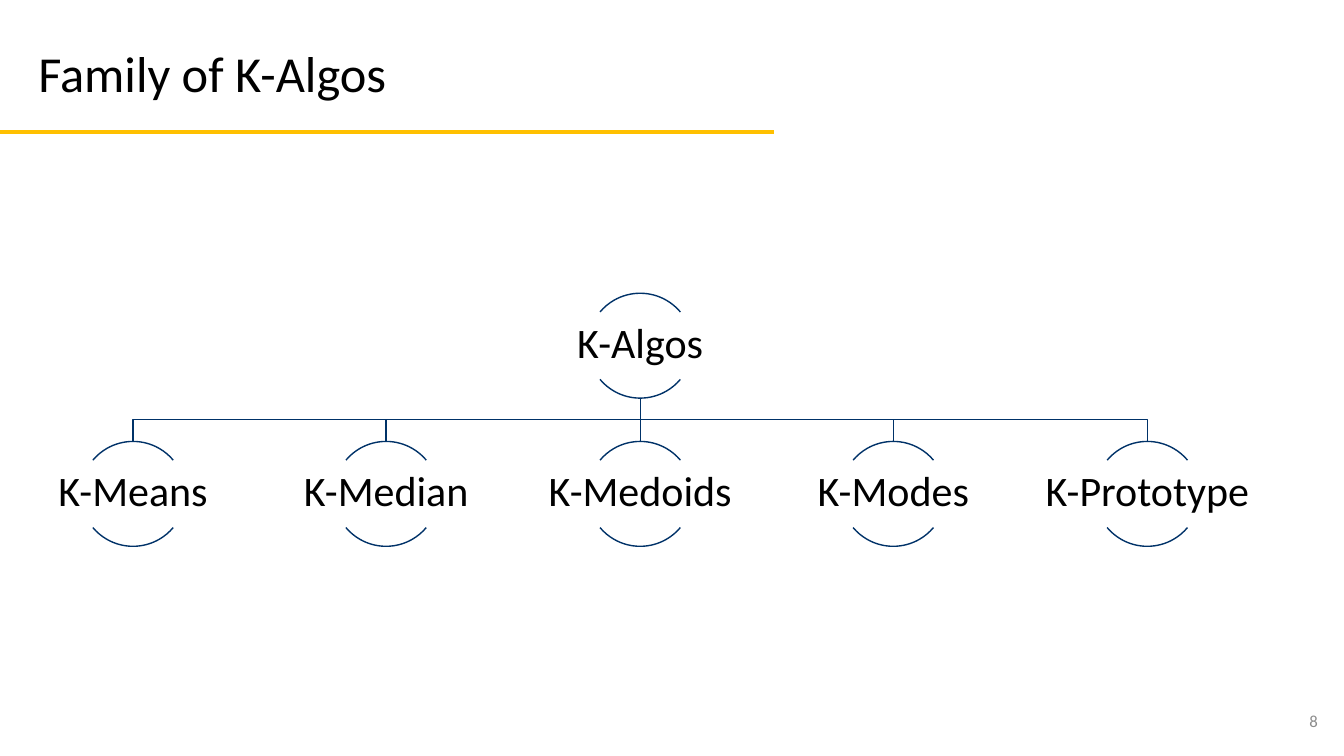
"""Build the slide showing the family of K-algorithms as a tree."""
from dataclasses import dataclass

from lxml import etree
from pptx import Presentation
from pptx.dml.color import RGBColor
from pptx.enum.shapes import MSO_CONNECTOR, MSO_SHAPE
from pptx.enum.text import MSO_ANCHOR, MSO_AUTO_SIZE, PP_ALIGN
from pptx.oxml.ns import qn
from pptx.shapes.autoshape import Shape
from pptx.shapes.connector import Connector
from pptx.slide import Slide
from pptx.util import Pt

PX = 9144
BLACK = RGBColor(0x00, 0x00, 0x00)
GRAY = RGBColor(0x8C, 0x8C, 0x8C)
NAVY = RGBColor(0x00, 0x32, 0x68)
GOLD = RGBColor(0xFF, 0xC0, 0x00)
FONT = "Calibri"
ARC = MSO_SHAPE.ARC
LINE = MSO_CONNECTOR.STRAIGHT
MIDDLE = MSO_ANCHOR.MIDDLE
FIXED = MSO_AUTO_SIZE.NONE
LEFT, CENTER, RIGHT = PP_ALIGN.LEFT, PP_ALIGN.CENTER, PP_ALIGN.RIGHT

SIZE = 104
LABEL_W, LABEL_H = 208, 67
ROOT_Y, BAR_Y, LEAF_Y = 291, 416, 438
ARCS = ((132, 192), (24, 84))
LEAVES = ("K-Means", "K-Median", "K-Medoids", "K-Modes", "K-Prototype")


@dataclass(frozen=True)
class Node:
    """A label between two arcs, placed by its centre and top in px."""

    name: str
    mid: int
    top: int


def write(box: Shape, text: str, *, size: int, color: RGBColor = BLACK,
          align: PP_ALIGN = LEFT, inset: int | None = None,
          spacing: float = 1.0) -> None:
    """Put formatted text into a shape."""
    frame = box.text_frame
    frame.word_wrap = True
    frame.auto_size = FIXED
    frame.vertical_anchor = MIDDLE
    if inset is not None:
        frame.margin_left = frame.margin_right = inset * PX
        frame.margin_top = frame.margin_bottom = inset * PX
    para = frame.paragraphs[0]
    para.alignment = align
    para.line_spacing = spacing
    run = para.add_run()
    run.text = text
    run.font.name = FONT
    run.font.size = Pt(size)
    run.font.color.rgb = color


def add_box(slide: Slide, x: int, y: int, w: int, h: int) -> Shape:
    """Add an empty text box."""
    return slide.shapes.add_textbox(x * PX, y * PX, w * PX, h * PX)


def add_rule(slide: Slide, x1: int, y1: int, x2: int, y2: int,
             color: RGBColor, width: float) -> Connector:
    """Add a straight line without shadow."""
    rule = slide.shapes.add_connector(LINE, x1 * PX, y1 * PX, x2 * PX, y2 * PX)
    rule.line.color.rgb = color
    rule.line.width = Pt(width)
    etree.SubElement(rule.element.spPr, qn("a:effectLst"))
    return rule


def outline(shape: Shape) -> None:
    """Leave only a thin navy outline on a shape."""
    shape.shadow.inherit = False
    shape.fill.background()
    shape.line.color.rgb = NAVY
    shape.line.width = Pt(1)


def add_link(slide: Slide, root: Node, leaf: Node) -> None:
    """Join the root to a leaf through the shared bar."""
    base = root.top + SIZE
    if leaf.mid == root.mid:
        add_rule(slide, root.mid, base, leaf.mid, leaf.top, NAVY, 1)
        return
    path = slide.shapes.build_freeform(root.mid, base, scale=PX)
    path.add_line_segments(
        [(root.mid, BAR_Y), (leaf.mid, BAR_Y), (leaf.mid, leaf.top)],
        close=False)
    outline(path.convert_to_shape())


def add_node(slide: Slide, node: Node) -> None:
    """Draw the arcs and label of a node."""
    for start, end in ARCS:
        arc = slide.shapes.add_shape(
            ARC, (node.mid - SIZE // 2) * PX, node.top * PX,
            SIZE * PX, SIZE * PX)
        arc.adjustments[0] = start
        arc.adjustments[1] = end
        outline(arc)
    label = add_box(slide, node.mid - LABEL_W // 2,
                    node.top + (SIZE - LABEL_H) // 2, LABEL_W, LABEL_H)
    write(label, node.name, size=30, align=CENTER, inset=2, spacing=0.9)


def main() -> None:
    """Build and save the slide."""
    deck = Presentation()
    deck.slide_width, deck.slide_height = 1333 * PX, 750 * PX
    slide = deck.slides.add_slide(deck.slide_layouts[5])

    add_rule(slide, 0, 131, 768, 131, GOLD, 2.25)
    title = slide.shapes.title
    title.left, title.top = 28 * PX, 23 * PX
    title.width, title.height = 1150 * PX, 106 * PX
    write(title, "Family of K-Algos", size=36, spacing=0.9)

    root = Node("K-Algos", 635, ROOT_Y)
    leaves = [Node(name, 132 + 503 * i // 2, LEAF_Y)
              for i, name in enumerate(LEAVES)]
    for leaf in reversed(leaves):
        add_link(slide, root, leaf)
    for node in (root, *leaves):
        add_node(slide, node)

    write(add_box(slide, 1017, 695, 300, 40), "8",
          size=12, color=GRAY, align=RIGHT)
    deck.save("out.pptx")


if __name__ == "__main__":
    main()
